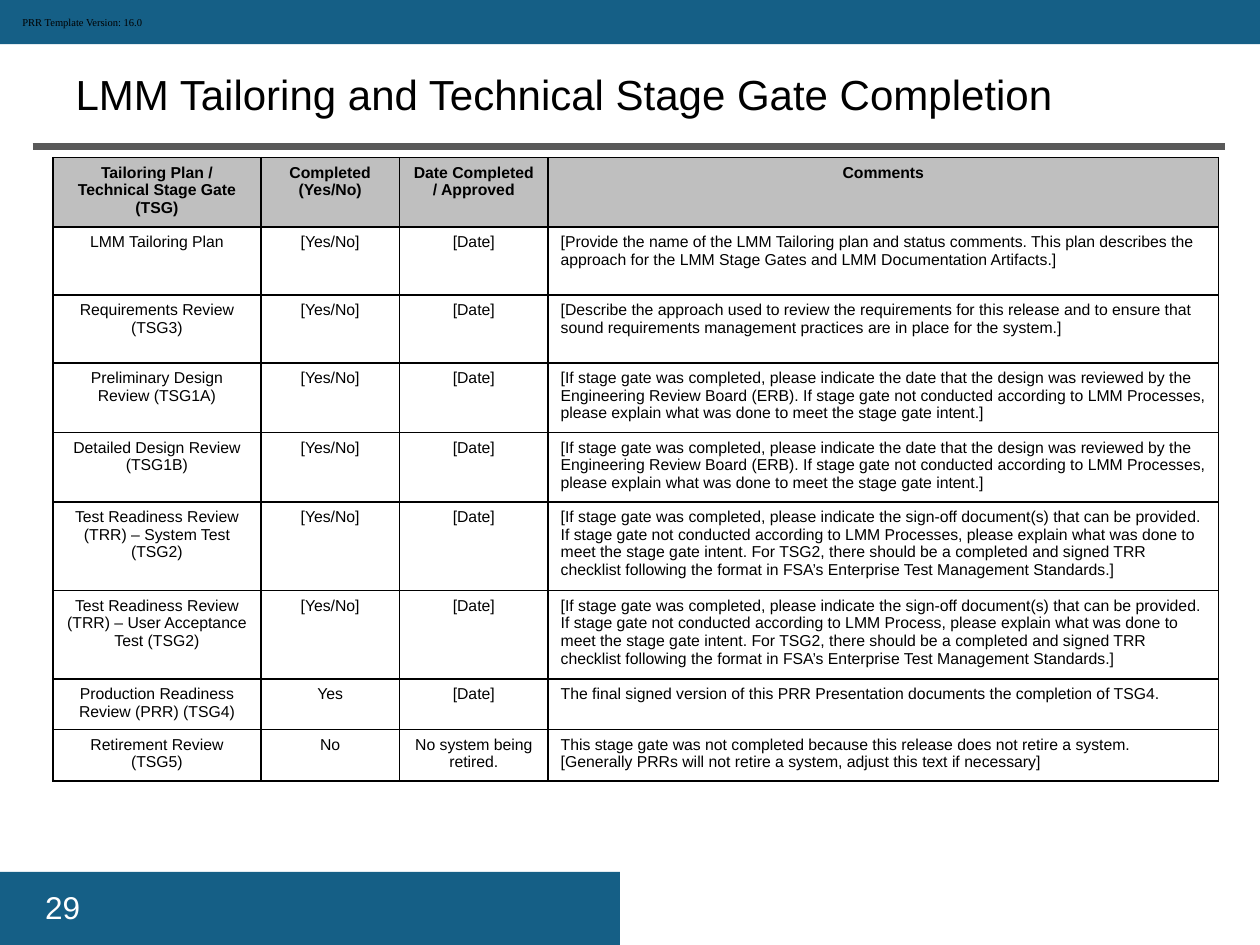
from dataclasses import dataclass

import lxml.etree
import pptx
import pptx.dml.color
import pptx.enum.shapes
import pptx.enum.text
import pptx.oxml
import pptx.oxml.ns
import pptx.util

Inches = pptx.util.Inches
Pt = pptx.util.Pt
PP_ALIGN = pptx.enum.text.PP_ALIGN
ANCHOR = pptx.enum.text.MSO_ANCHOR
AUTO_SIZE = pptx.enum.text.MSO_AUTO_SIZE
qn = pptx.oxml.ns.qn


@dataclass(frozen=True)
class Theme:
    """Colours, fonts and type sizes of the slide."""

    band: str = "155F86"
    rule: str = "595959"
    header: str = "BFBFBF"
    paper: str = "FFFFFF"
    ink: str = "000000"
    sans: str = "Arial"
    serif: str = "Times New Roman"
    title_size: int = 24
    number_size: int = 18
    table_size: int = 9
    version_size: int = 6


def rgb(value):
    """Return the colour for a hex string."""
    return pptx.dml.color.RGBColor.from_string(value)


class SlideBuilder:
    """Draws styled elements on the current slide."""

    def __init__(self, slide, theme):
        """Keep the slide and its theme."""
        self.slide = slide
        self.theme = theme

    def style(self, frame, size, color, font=None, bold=False, align=PP_ALIGN.LEFT):
        """Format every paragraph of a text frame."""
        for paragraph in frame.paragraphs:
            paragraph.alignment = align
            paragraph.font.name = font or self.theme.sans
            paragraph.font.size = Pt(size)
            paragraph.font.bold = bold
            paragraph.font.color.rgb = rgb(color)

    def band(self, left, top, width, height):
        """Add a plain coloured band."""
        band = self.slide.shapes.add_shape(
            pptx.enum.shapes.MSO_SHAPE.RECTANGLE,
            Inches(left), Inches(top), Inches(width), Inches(height))
        band.shadow.inherit = False
        band.fill.solid()
        band.fill.fore_color.rgb = rgb(self.theme.band)
        band.line.fill.background()

    def rule(self, left, right, y, weight):
        """Add a horizontal rule."""
        rule = self.slide.shapes.add_connector(
            pptx.enum.shapes.MSO_CONNECTOR.STRAIGHT,
            Inches(left), Inches(y), Inches(right), Inches(y))
        rule.line.color.rgb = rgb(self.theme.rule)
        rule.line.width = Pt(weight)
        lxml.etree.SubElement(rule._element.spPr, qn("a:effectLst"))

    def title(self, text, left, top, width, height):
        """Place and format the title placeholder."""
        title = self.slide.shapes.title
        title.left, title.top = Inches(left), Inches(top)
        title.width, title.height = Inches(width), Inches(height)
        frame = title.text_frame
        frame.text = text
        frame.auto_size = AUTO_SIZE.NONE
        frame.vertical_anchor = ANCHOR.TOP
        frame.margin_top = Inches(0.09)
        self.style(frame, self.theme.title_size, self.theme.ink)

    def text(self, text, left, top, width, height, size, color, font, wrap):
        """Add a text box that fits its text."""
        box = self.slide.shapes.add_textbox(
            Inches(left), Inches(top), Inches(width), Inches(height))
        frame = box.text_frame
        frame.text = text
        frame.word_wrap = wrap
        frame.auto_size = AUTO_SIZE.SHAPE_TO_FIT_TEXT
        self.style(frame, size, color, font)

    def borders(self, cell):
        """Draw a thin line on all four sides of a cell."""
        properties = cell._tc.get_or_add_tcPr()
        for side in ("lnL", "lnR", "lnT", "lnB"):
            line = lxml.etree.SubElement(properties, qn(f"a:{side}"), w=str(Pt(1)))
            fill = lxml.etree.SubElement(line, qn("a:solidFill"))
            lxml.etree.SubElement(fill, qn("a:srgbClr"), val=self.theme.ink)

    def table(self, rows, left, top, widths, heights):
        """Add a bordered table with a header row and left-aligned last column."""
        table = self.slide.shapes.add_table(
            len(rows), len(widths), Inches(left), Inches(top),
            Inches(sum(widths)), Inches(sum(heights))).table
        table.horz_banding = False
        for column, width in zip(table.columns, widths):
            column.width = Inches(width)
        for r, (values, height) in enumerate(zip(rows, heights)):
            table.rows[r].height = Inches(height)
            is_header = r == 0
            for c, value in enumerate(values):
                cell = table.cell(r, c)
                cell.text = value
                self.borders(cell)
                cell.fill.solid()
                cell.fill.fore_color.rgb = rgb(
                    self.theme.header if is_header else self.theme.paper)
                is_comment = c == len(widths) - 1 and not is_header
                self.style(cell.text_frame, self.theme.table_size, self.theme.ink,
                           bold=is_header,
                           align=PP_ALIGN.LEFT if is_comment else PP_ALIGN.CENTER)


PENDING = ("[Yes/No]", "[Date]")
DESIGN_COMMENT = (
    "[If stage gate was completed, please indicate the date that the design was "
    "reviewed by the Engineering Review Board (ERB). If stage gate not conducted "
    "according to LMM Processes, please explain what was done to meet the stage "
    "gate intent.]")
TEST_COMMENT = (
    "[If stage gate was completed, please indicate the sign-off document(s) that "
    "can be provided. If stage gate not conducted according to LMM {}, please "
    "explain what was done to meet the stage gate intent. For TSG2, there should be "
    "a completed and signed TRR checklist following the format in FSA’s Enterprise "
    "Test Management Standards.]")
STAGE_GATES = [
    ("Tailoring Plan / Technical Stage Gate (TSG)", "Completed (Yes/No)",
     "Date Completed / Approved", "Comments"),
    ("LMM Tailoring Plan", *PENDING,
     "[Provide the name of the LMM Tailoring plan and status comments. This plan "
     "describes the approach for the LMM Stage Gates and LMM Documentation Artifacts.]"),
    ("Requirements Review (TSG3)", *PENDING,
     "[Describe the approach used to review the requirements for this release and to "
     "ensure that sound requirements management practices are in place for the system.]"),
    ("Preliminary Design Review (TSG1A)", *PENDING, DESIGN_COMMENT),
    ("Detailed Design Review (TSG1B)", *PENDING, DESIGN_COMMENT),
    ("Test Readiness Review (TRR) – System Test (TSG2)", *PENDING,
     TEST_COMMENT.format("Processes")),
    ("Test Readiness Review (TRR) – User Acceptance Test (TSG2)", *PENDING,
     TEST_COMMENT.format("Process")),
    ("Production Readiness Review (PRR) (TSG4)", "Yes", "[Date]",
     "The final signed version of this PRR Presentation documents the completion "
     "of TSG4."),
    ("Retirement Review (TSG5)", "No", "No system being retired.",
     "This stage gate was not completed because this release does not retire a "
     "system.\n[Generally PRRs will not retire a system, adjust this text if necessary]"),
]


def main():
    """Build and save the stage gate slide."""
    deck = pptx.Presentation()
    deck.slide_width, deck.slide_height = Inches(10), Inches(7.5)
    theme = Theme()
    page = SlideBuilder(deck.slides.add_slide(deck.slide_layouts[5]), theme)
    page.band(0, 6.92, 4.92, 0.58)
    page.band(0, 0, 10, 0.35)
    page.rule(0.26, 9.72, 1.16, 4)
    page.text("29", 0.26, 7, 2.19, 0.4, theme.number_size, theme.paper, theme.sans, True)
    page.title("LMM Tailoring and Technical Stage Gate Completion",
               0.5, 0.45, 9.35, 0.71)
    page.table(STAGE_GATES, 0.42, 1.25, [1.65, 1.1, 1.18, 5.32],
               [0.5, 0.54, 0.54, 0.5, 0.5, 0.5, 0.5, 0.39, 0.41])
    page.text("PRR Template Version: 16.0", 0.08, 0.08, 1.17, 0.2,
              theme.version_size, theme.ink, theme.serif, False)
    deck.save("out.pptx")


if __name__ == "__main__":
    main()
